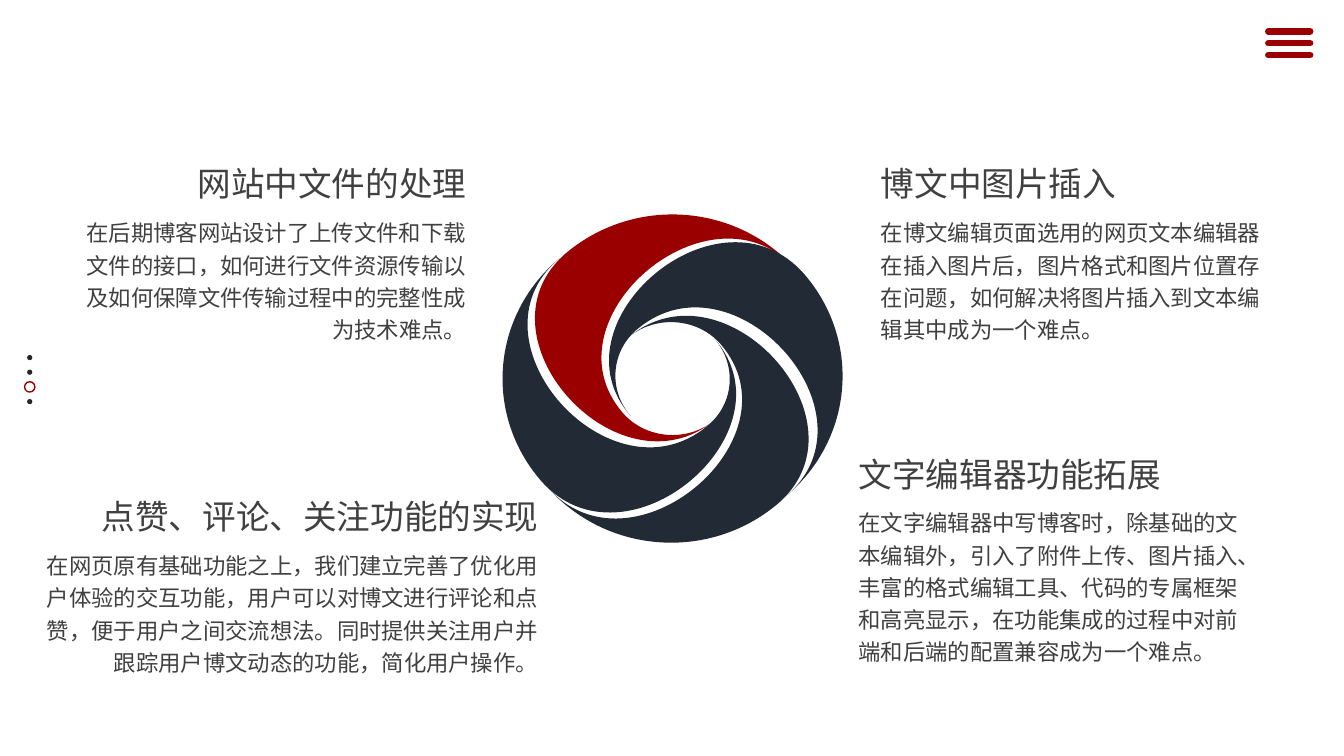
from lxml import etree
from pptx import Presentation
from pptx.dml.color import RGBColor
from pptx.enum.shapes import MSO_CONNECTOR as CONN, MSO_SHAPE as SHAPE
from pptx.enum.text import MSO_AUTO_SIZE as AUTO, PP_ALIGN as ALIGN
from pptx.oxml.ns import qn
from pptx.util import Cm, Pt

RED = RGBColor(0x9A, 0x00, 0x00)
NAVY = RGBColor(0x22, 0x2A, 0x35)
BLACK = RGBColor(0x26, 0x26, 0x26)
GREY = RGBColor(0x40, 0x40, 0x40)

UPPER_PETAL = [
    (20.07, 6.81), (18.59, 5.13), (16.03, 4.93), (14.3, 6.35), (11.81, 8.41),
    (15.57, 12.6), (18.01, 10.59), (17.32, 11.15), (16.28, 11.07), (15.7, 10.41),
    (13.64, 8.03), (17.96, 4.39), (20.07, 6.81)]
RIGHT_PETAL = [
    (19.81, 12.5), (21.51, 11.07), (21.72, 8.59), (20.27, 6.91), (18.14, 4.47),
    (13.82, 8.13), (15.9, 10.49), (15.32, 9.83), (15.39, 8.84), (16.08, 8.28),
    (18.52, 6.27), (22.25, 10.44), (19.81, 12.5)]

TOPICS = [
    (21.95, 3.79, (9.02, 1.37), (10.41, 3.48), ALIGN.LEFT, "博文中图片插入",
     "在博文编辑页面选用的网页文本编辑器在插入图片后，图片格式和图片位置存在问题，"
     "如何解决将图片插入到文本编辑其中成为一个难点。"),
    (21.39, 11.1, (9.02, 1.37), (10.41, 4.32), ALIGN.LEFT, "文字编辑器功能拓展",
     "在文字编辑器中写博客时，除基础的文本编辑外，引入了附件上传、图片插入、"
     "丰富的格式编辑工具、代码的专属框架和高亮显示，"
     "在功能集成的过程中对前端和后端的配置兼容成为一个难点。"),
    (13.82, 12.18, (11.58, 2.64), (13.39, 3.48), ALIGN.RIGHT, "点赞、评论、关注功能的实现",
     "在网页原有基础功能之上，我们建立完善了优化用户体验的交互功能，"
     "用户可以对博文进行评论和点赞，便于用户之间交流想法。"
     "同时提供关注用户并跟踪用户博文动态的功能，简化用户操作。"),
    (12, 3.79, (9.02, 1.37), (10.41, 3.48), ALIGN.RIGHT, "网站中文件的处理",
     "在后期博客网站设计了上传文件和下载文件的接口，"
     "如何进行文件资源传输以及如何保障文件传输过程中的完整性成为技术难点。"),
]


def half_turn(points, cx, cy):
    """Rotate the points by 180 degrees about a centre."""
    return [(2 * cx - x, 2 * cy - y) for x, y in points]


class Deck:
    """Hold the text style and the current slide, and draw its elements."""

    cjk_font = "Noto Sans CJK SC"
    body_font = "Calibri"
    spacing = 1.2

    def __init__(self):
        """Open a widescreen deck with one blank slide."""
        self.prs = Presentation()
        self.prs.slide_width, self.prs.slide_height = Cm(33.87), Cm(19.05)
        self.s = self.prs.slides.add_slide(self.prs.slide_layouts[6])

    def petal(self, points, color):
        """Draw one filled blade of the ring from cubic curves."""
        start, *rest = [(Cm(x), Cm(y)) for x, y in points]
        builder = self.s.shapes.build_freeform(*start)
        builder.add_line_segments(rest, close=True)
        sp = builder.convert_to_shape()
        segments = list(sp._element.iter(qn("a:lnTo")))
        for i in range(0, len(rest), 3):
            curve = etree.Element(qn("a:cubicBezTo"))
            segments[i].addprevious(curve)
            for segment in segments[i:i + 3]:
                curve.append(segment[0])
                segment.getparent().remove(segment)
        sp.shadow.inherit = False
        sp.fill.solid()
        sp.fill.fore_color.rgb = color
        sp.line.fill.background()

    def dot(self, x, y, size, color, hollow=False):
        """Draw a filled dot or a hollow ring about its centre."""
        sp = self.s.shapes.add_shape(SHAPE.OVAL, Cm(x - size / 2), Cm(y - size / 2),
                                     Cm(size), Cm(size))
        sp.shadow.inherit = False
        if hollow:
            sp.fill.background()
            sp.line.color.rgb = color
            sp.line.width = Pt(1)
        else:
            sp.fill.solid()
            sp.fill.fore_color.rgb = color
            sp.line.fill.background()

    def bar(self, x1, x2, y):
        """Draw a thick horizontal line with round ends."""
        line = self.s.shapes.add_connector(CONN.STRAIGHT, Cm(x1), Cm(y), Cm(x2), Cm(y))
        line.line.color.rgb = RED
        line.line.width = Pt(4.5)
        line.line._get_or_add_ln().set("cap", "rnd")
        etree.SubElement(line._element.spPr, qn("a:effectLst"))

    def text(self, edge, y, box, text, size, font, align):
        """Add a wrapped paragraph whose box touches the given edge."""
        w, h = box
        x = edge - w if align == ALIGN.RIGHT else edge
        tf = self.s.shapes.add_textbox(Cm(x), Cm(y), Cm(w), Cm(h)).text_frame
        tf.word_wrap = True
        tf.auto_size = AUTO.SHAPE_TO_FIT_TEXT
        p = tf.paragraphs[0]
        p.alignment = align
        p.line_spacing = self.spacing
        r = p.add_run()
        r.text = text
        r.font.size = Pt(size)
        r.font.color.rgb = GREY
        r.font.name = font
        etree.SubElement(r._r.get_or_add_rPr(), qn("a:ea")).set("typeface", self.cjk_font)

    def topic(self, edge, y, title_box, body_box, align, title, body):
        """Add a title and its description, both aligned to one edge."""
        self.text(edge, y, title_box, title, 24, self.cjk_font, align)
        self.text(edge, y + 1.48, body_box, body, 16, self.body_font, align)


def main():
    """Build the slide and save it."""
    deck = Deck()
    deck.petal(UPPER_PETAL, RED)
    deck.petal(RIGHT_PETAL, NAVY)
    deck.petal(half_turn(RIGHT_PETAL, 16.95, 9.51), NAVY)
    deck.petal(half_turn(UPPER_PETAL, 16.93, 9.54), NAVY)
    for i in range(4):
        current = i == 2
        deck.dot(0.75, 9.01 + 0.37 * i, 0.26 if current else 0.13,
                 RED if current else BLACK, current)
    for i in range(3):
        deck.bar(31.96, 33.02, 0.79 + 0.3 * i)
    for topic in TOPICS:
        deck.topic(*topic)
    deck.prs.save("out.pptx")


if __name__ == "__main__":
    main()
